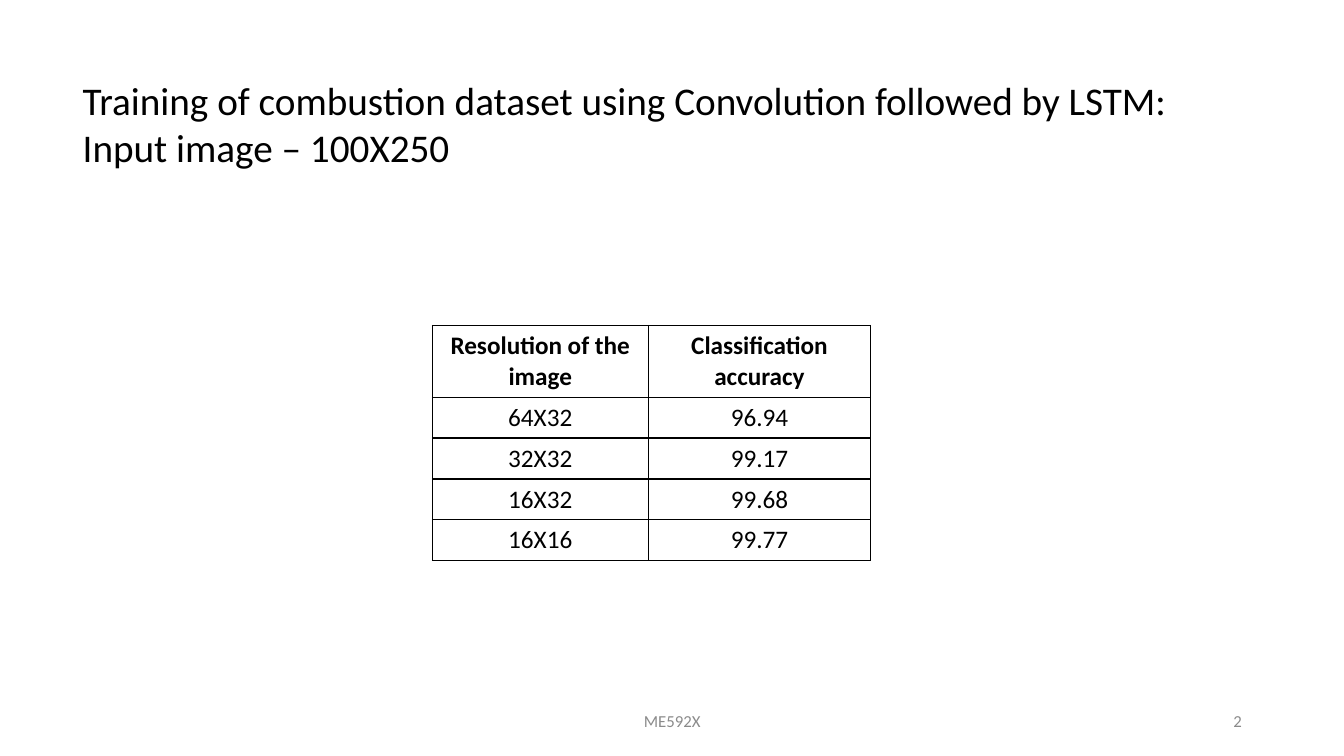
from dataclasses import dataclass

from lxml.etree import SubElement
from pptx import Presentation
from pptx.dml.color import RGBColor
from pptx.enum.text import MSO_ANCHOR, MSO_AUTO_SIZE, PP_ALIGN
from pptx.oxml.ns import qn
from pptx.slide import Slide
from pptx.table import _Cell
from pptx.text.text import TextFrame
from pptx.util import Inches, Length, Pt

GRID_UNIT = Inches(1) / 12
COLUMNS, ROWS = 160, 90
FONT = "Calibri"
BLACK, GREY, WHITE = "000000", "8B8B8B", "FFFFFF"
BORDER_WIDTH = Pt(0.96)

TITLE = "Training of combustion dataset using Convolution followed by LSTM:\nInput image – 100X250"
RESULTS = [
    ("Resolution of the image", "Classification accuracy"),
    ("64X32", "96.94"),
    ("32X32", "99.17"),
    ("16X32", "99.68"),
    ("16X16", "99.77"),
]
RESULT_COLUMNS = (25.68, 26.52)
HEADER_HEIGHT, RESULT_HEIGHT = 7.2, 4.32


@dataclass(frozen=True)
class Area:
    column: float
    row: float
    width: float
    height: float

    def box(self) -> tuple[Length, ...]:
        return tuple(map(grid, (self.column, self.row, self.width, self.height)))


@dataclass(frozen=True)
class FooterItem:
    text: str
    area: Area
    align: PP_ALIGN


TITLE_AREA = Area(8.64, 8.52, 138, 57.12)
RESULTS_AREA = Area(51.48, 38.76, sum(RESULT_COLUMNS), HEADER_HEIGHT + 4 * RESULT_HEIGHT)
FOOTER = [
    FooterItem("2", Area(113.04, 83.4, 36, 4.8), PP_ALIGN.RIGHT),
    FooterItem("ME592X", Area(53.04, 83.4, 54, 4.8), PP_ALIGN.CENTER),
]


def grid(units: float) -> Length:
    return Length(round(units * GRID_UNIT))


def color(value: str) -> RGBColor:
    return RGBColor.from_string(value)


def write(frame: TextFrame, text: str, size: float, ink: str, align: PP_ALIGN, bold: bool = False) -> None:
    frame.text = text
    for paragraph in frame.paragraphs:
        paragraph.alignment = align
        for run in paragraph.runs:
            run.font.name = FONT
            run.font.size = Pt(size)
            run.font.bold = bold
            run.font.color.rgb = color(ink)


def add_borders(cell: _Cell) -> None:
    properties = cell._tc.get_or_add_tcPr()
    for position, side in enumerate(("lnL", "lnR", "lnT", "lnB")):
        border = SubElement(properties, qn(f"a:{side}"), w=str(BORDER_WIDTH))
        fill = SubElement(border, qn("a:solidFill"))
        SubElement(fill, qn("a:srgbClr"), val=BLACK)
        properties.insert(position, border)


def draw_title(slide: Slide) -> None:
    title = slide.shapes.title
    title.left, title.top, title.width, title.height = TITLE_AREA.box()
    frame = title.text_frame
    frame.word_wrap = True
    frame.auto_size = MSO_AUTO_SIZE.NONE
    frame.vertical_anchor = MSO_ANCHOR.TOP
    write(frame, TITLE, 28, BLACK, PP_ALIGN.LEFT)


def draw_results(slide: Slide) -> None:
    results = slide.shapes.add_table(len(RESULTS), len(RESULT_COLUMNS), *RESULTS_AREA.box()).table
    results.horz_banding = False
    results.first_row = False
    for column, width in zip(results.columns, RESULT_COLUMNS):
        column.width = grid(width)
    for index, (row, values) in enumerate(zip(results.rows, RESULTS)):
        is_header = index == 0
        row.height = grid(HEADER_HEIGHT if is_header else RESULT_HEIGHT)
        for cell, value in zip(row.cells, values):
            cell.fill.solid()
            cell.fill.fore_color.rgb = color(WHITE)
            add_borders(cell)
            write(cell.text_frame, value, 18, BLACK, PP_ALIGN.CENTER, is_header)


def draw_footer(slide: Slide, item: FooterItem) -> None:
    frame = slide.shapes.add_textbox(*item.area.box()).text_frame
    frame.word_wrap = True
    frame.vertical_anchor = MSO_ANCHOR.MIDDLE
    write(frame, item.text, 12, GREY, item.align)


def main() -> None:
    presentation = Presentation()
    presentation.slide_width = grid(COLUMNS)
    presentation.slide_height = grid(ROWS)
    slide = presentation.slides.add_slide(presentation.slide_layouts[5])
    draw_title(slide)
    draw_results(slide)
    for item in FOOTER:
        draw_footer(slide, item)
    presentation.save("out.pptx")


if __name__ == "__main__":
    main()
